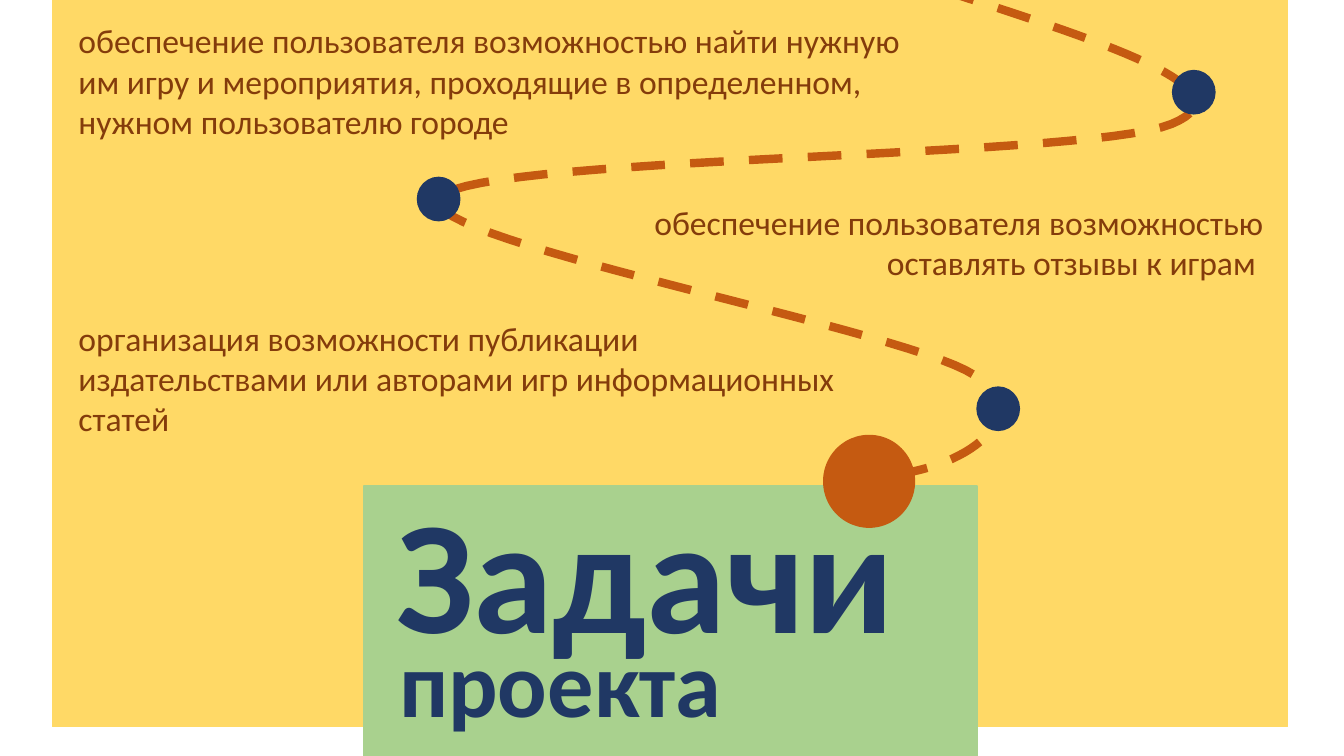
from pptx import Presentation
from pptx.dml.color import RGBColor
from pptx.enum.dml import MSO_LINE
from pptx.enum.shapes import MSO_SHAPE
from pptx.enum.text import MSO_AUTO_SIZE, PP_ALIGN
from pptx.util import Inches, Pt

YELLOW = RGBColor(0xFF, 0xD9, 0x66)
GREEN = RGBColor(0xA9, 0xD1, 0x8E)
ORANGE = RGBColor(0xC5, 0x5A, 0x11)
NAVY = RGBColor(0x20, 0x38, 0x64)
BROWN = RGBColor(0x84, 0x3C, 0x0B)

deck = Presentation()
deck.slide_width, deck.slide_height = Inches(13.33), Inches(7.5)
slide = deck.slides.add_slide(deck.slide_layouts[6])


def add_form(kind, area, color):
    form = slide.shapes.add_shape(kind, *map(Inches, area))
    form.shadow.inherit = False
    form.fill.solid()
    form.fill.fore_color.rgb = color
    form.line.color.rgb = color
    form.line.width = Pt(1)


def add_text(text, area, size=24, color=BROWN, bold=False, align=PP_ALIGN.LEFT):
    frame = slide.shapes.add_textbox(*map(Inches, area)).text_frame
    frame.word_wrap = True
    frame.auto_size = MSO_AUTO_SIZE.SHAPE_TO_FIT_TEXT
    para = frame.paragraphs[0]
    para.alignment = align
    run = para.add_run()
    run.text = text
    run.font.name = "Calibri"
    run.font.size = Pt(size)
    run.font.bold = bold
    run.font.color.rgb = color


# Background panel, title panel and the end of the road
add_form(MSO_SHAPE.RECTANGLE, (0.52, 0, 12.25, 7.21), YELLOW)
add_form(MSO_SHAPE.RECTANGLE, (3.61, 4.82, 6.08, 2.68), GREEN)
add_form(MSO_SHAPE.OVAL, (8.17, 4.32, 0.9, 0.91), ORANGE)

# Title and the three tasks
add_text("Задачи", (3.83, 4.64, 5.54, 2.04), size=115, color=NAVY, bold=True)
add_text("организация возможности публикации издательствами или авторами игр "
         "информационных статей", (0.68, 3.1, 7.97, 1.31))
add_text("обеспечение пользователя возможностью оставлять отзывы к играм ",
         (5.96, 1.95, 6.67, 0.91), align=PP_ALIGN.RIGHT)
add_text("обеспечение пользователя возможностью найти нужную им игру и мероприятия, "
         "проходящие в определенном, нужном пользователю городе",
         (0.68, 0.15, 8.38, 1.31))

# Winding dashed road: Bezier pieces traced in short steps
start = (9.34, -0.1)
bends = [
    ((10.89, 0.4), (12.45, 0.89), (11.62, 1.23)),
    ((10.79, 1.58), (4.69, 1.54), (4.36, 1.96)),
    ((4.04, 2.37), (8.97, 3.26), (9.66, 3.72)),
    ((10.36, 4.18), (9.4, 4.77), (8.53, 4.72)),
]
STEPS = 30
points = []
last = start
for bend in bends:
    for step in range(1, STEPS + 1):
        t = step / STEPS
        parts = ((1 - t) ** 3, 3 * t * (1 - t) ** 2, 3 * t * t * (1 - t), t ** 3)
        knots = (last, *bend)
        points.append(tuple(Inches(sum(w * knot[axis] for w, knot in zip(parts, knots)))
                            for axis in (0, 1)))
    last = bend[-1]
trace = slide.shapes.build_freeform(*map(Inches, start))
trace.add_line_segments(points, close=False)
road = trace.convert_to_shape()
road.shadow.inherit = False
road.fill.background()
road.line.color.rgb = ORANGE
road.line.width = Pt(6)
road.line.dash_style = MSO_LINE.DASH

# Stops on the road
for left, top in ((11.63, 0.7), (4.14, 1.76), (9.69, 3.84)):
    add_form(MSO_SHAPE.OVAL, (left, top, 0.42, 0.43), NAVY)

# Second line of the title
add_text("проекта", (3.86, 6.15, 5.54, 1.21), size=66, color=NAVY, bold=True)

deck.save("out.pptx")
